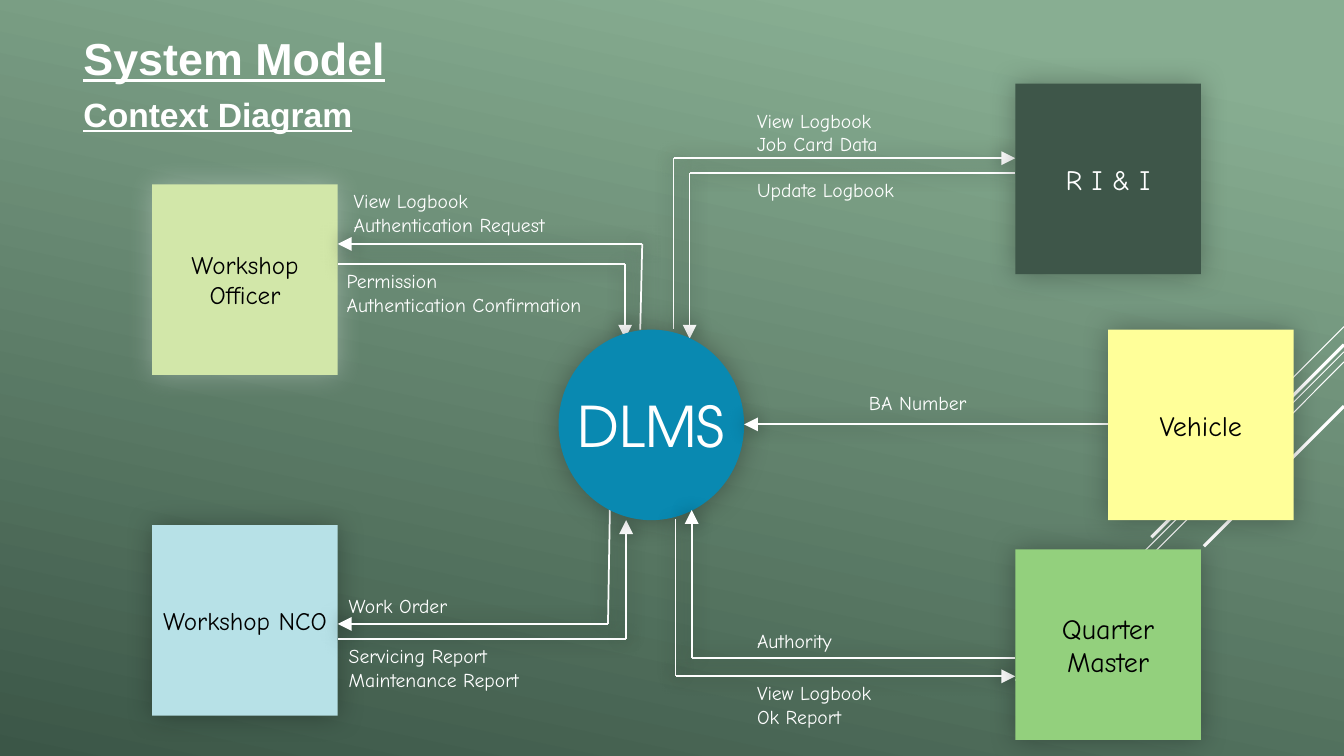
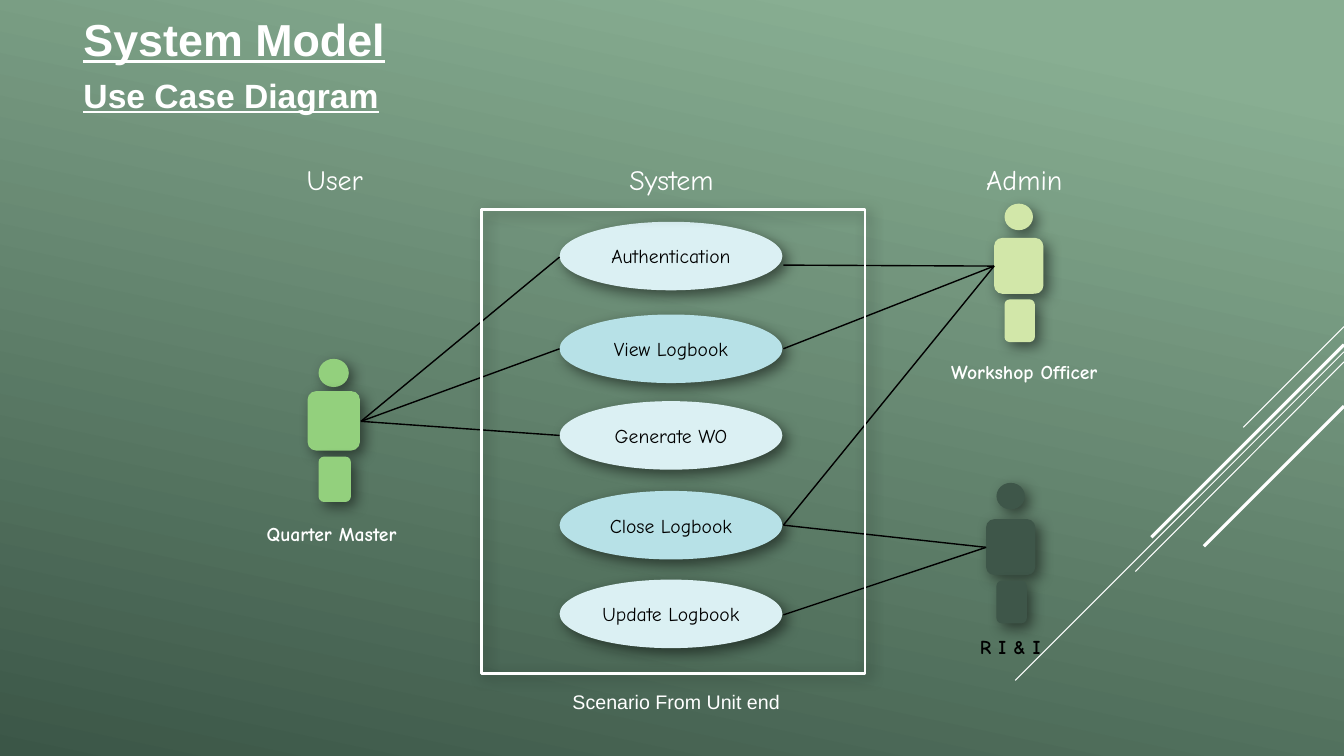
from itertools import pairwise

from lxml.etree import SubElement
from pptx import Presentation
from pptx.dml.color import RGBColor
from pptx.enum.shapes import MSO_CONNECTOR, MSO_SHAPE
from pptx.enum.text import MSO_ANCHOR, PP_ALIGN
from pptx.oxml.ns import qn
from pptx.util import Inches, Pt

WHITE, BLACK = "FFFFFF", "000000"
LIME, DARK, GREEN = "D2E7A9", "3E5649", "93D07D"
AQUA, PALE, BLUE, YELLOW = "B7E1E7", "DBF0F3", "0989B1", "FFFF99"
RECT, OVAL, ROUNDED = MSO_SHAPE.RECTANGLE, MSO_SHAPE.OVAL, MSO_SHAPE.ROUNDED_RECTANGLE
LINK_SHADOW = (BLACK, 50, 13, 0, 0)
SOFT_SHADOW = (BLACK, 50, 10, 5, 45)
STRIPES = [
    ((13.33, 3.24), (12.33, 4.24), 0.75),
    ((13.33, 3.49), (10.07, 6.75), 0.75),
    ((13.33, 3.59), (11.26, 5.67), 0.75),
    ((13.33, 3.42), (11.42, 5.33), 2.25),
    ((13.33, 4.03), (11.94, 5.42), 2.25),
]


def color(value):
    """Turn a hex string into a colour."""
    return RGBColor.from_string(value)


def write(frame, text, size=14, font="Comic Neue", ink=WHITE, bold=False,
          underline=False, align=PP_ALIGN.LEFT, anchor=MSO_ANCHOR.TOP, wrap=True):
    """Fill a text frame, one paragraph for each line of text."""
    frame.word_wrap = wrap
    frame.vertical_anchor = anchor
    for index, line in enumerate(text.split("\n")):
        para = frame.add_paragraph() if index else frame.paragraphs[0]
        para.alignment = align
        span = para.add_run()
        span.text = line
        span.font.size = Pt(size)
        span.font.name = font
        span.font.bold = bold
        span.font.underline = underline
        span.font.color.rgb = color(ink)


def set_shadow(item, shadow=None):
    """Replace the theme shadow by none or by (colour, opacity, blur, distance, angle)."""
    effects = SubElement(item._element.spPr, qn("a:effectLst"))
    if shadow:
        tint, opacity, blur, distance, angle = shadow
        outer = SubElement(effects, qn("a:outerShdw"), blurRad=str(Pt(blur)),
                           dist=str(Pt(distance)), dir=str(angle * 60000),
                           algn="ctr", rotWithShape="0")
        shade = SubElement(outer, qn("a:srgbClr"), val=tint)
        SubElement(shade, qn("a:alpha"), val=str(opacity * 1000))


class Diagrams:
    """Holds the deck, its style and the current page."""

    def __init__(self):
        """Open an empty widescreen deck."""
        self.deck = Presentation()
        self.deck.slide_width = Inches(13.33)
        self.deck.slide_height = Inches(7.5)

    def start(self, subtitle, title_bottom):
        """Add a page with its background, stripes and headings."""
        self.page = self.deck.slides.add_slide(self.deck.slide_layouts[6])
        fill = self.page.background.fill
        fill.gradient()
        fill.gradient_angle = 258
        for stop, position, tint in zip(fill.gradient_stops, (0.1, 1), ("88AE92", "3B5647")):
            stop.position = position
            stop.color.rgb = color(tint)
        for begin, end, width in STRIPES:
            self.line(begin, end, width=width)
        heading = dict(font="Arial", bold=True, underline=True)
        self.text("System Model", 0.73, title_bottom - 0.7, 3.24, 0.7, size=32,
                  anchor=MSO_ANCHOR.BOTTOM, **heading)
        self.text(subtitle, 0.73, title_bottom - 0.01, 3.24, 0.5, size=24, **heading)

    def text(self, text, left, top, width, height=0.34, **style):
        """Add a text box."""
        box = self.page.shapes.add_textbox(Inches(left), Inches(top), Inches(width), Inches(height))
        write(box.text_frame, text, **style)

    def shape(self, kind, left, top, width, height, fill=None, outline=None,
              shadow=None, text="", **style):
        """Add a preset shape with optional centred text."""
        shape = self.page.shapes.add_shape(
            kind, Inches(left), Inches(top), Inches(width), Inches(height))
        if fill:
            shape.fill.solid()
            shape.fill.fore_color.rgb = color(fill)
        else:
            shape.fill.background()
        if outline:
            shape.line.color.rgb = color(outline)
            shape.line.width = Pt(2)
        else:
            shape.line.fill.background()
        set_shadow(shape, shadow)
        if text:
            write(shape.text_frame, text, align=PP_ALIGN.CENTER,
                  anchor=MSO_ANCHOR.MIDDLE, **style)

    def line(self, begin, end, ink=WHITE, width=1.25, arrow=False, shadow=None):
        """Add a straight line, with an arrowhead at its end if asked."""
        line = self.page.shapes.add_connector(
            MSO_CONNECTOR.STRAIGHT, *(Inches(value) for value in (*begin, *end)))
        line.line.color.rgb = color(ink)
        line.line.width = Pt(width)
        if arrow:
            SubElement(line.line._get_or_add_ln(), qn("a:tailEnd"),
                       type="triangle", w="lg", len="lg")
        set_shadow(line, shadow)

    def route(self, *points):
        """Join points by lines that end in an arrowhead."""
        for begin, end in pairwise(points):
            self.line(begin, end, arrow=end == points[-1], shadow=LINK_SHADOW)

    def entity(self, text, left, top, fill, angle, size=20, ink=BLACK, glow=BLACK):
        """Add a square that stands for a party outside the system."""
        self.shape(RECT, left, top, 1.84, 1.89, fill, shadow=(glow, 30, 20, 0, angle),
                   text=text, size=size, ink=ink)

    def person(self, left, top, scale, neck, fill):
        """Add a figure whose body has its corner at left and top."""
        parts = [
            (OVAL, 0.11, -neck, 0.3, 0.28),
            (ROUNDED, 0, 0, 0.52, 0.59),
            (ROUNDED, 0.11, 0.65 * scale, 0.32, 0.45),
        ]
        for kind, across, down, width, height in parts:
            self.shape(kind, left + across * scale, top + down, width * scale,
                       height * scale, fill, shadow=SOFT_SHADOW)


def context_diagram(show):
    """Draw the system with the parties around it."""
    show.start("Context Diagram", 0.89)
    show.entity("Workshop Officer", 1.51, 1.83, LIME, 225, size=18, glow=WHITE)
    show.entity("Workshop NCO", 1.51, 5.21, AQUA, 135, size=18)
    show.route((6.35, 3.27), (6.37, 2.42), (3.35, 2.42))
    show.route((3.35, 2.62), (6.2, 2.62), (6.2, 3.36))
    show.route((3.35, 6.34), (6.21, 6.34), (6.21, 5.16))
    show.route((6.05, 4.98), (6.03, 6.19), (3.35, 6.19))
    show.route((6.68, 3.26), (6.68, 1.57), (10.07, 1.57))
    show.route((10.07, 1.72), (6.84, 1.72), (6.84, 3.36))
    show.shape(OVAL, 5.54, 3.27, 1.84, 1.89, BLUE, shadow=(BLACK, 30, 20, 0, 0),
               text="DLMS", size=40, font="TeX Gyre Adventor", wrap=False)
    show.route((6.7, 5.15), (6.7, 6.71), (10.07, 6.71))
    show.route((10.07, 6.53), (6.86, 6.53), (6.86, 5.06))
    show.route((10.99, 4.21), (7.38, 4.21))
    show.entity("R I & I", 10.07, 0.83, DARK, 315, ink=WHITE)
    show.entity("Vehicle", 10.99, 3.27, YELLOW, 0)
    show.entity("Quarter Master", 10.07, 5.45, GREEN, 45)
    flows = [
        ("View Logbook\nAuthentication Request", 3.41, 1.83),
        ("Permission\nAuthentication Confirmation", 3.34, 2.62),
        ("Work Order", 3.36, 5.84),
        ("Servicing Report\nMaintenance Report", 3.36, 6.34),
        ("View Logbook\nJob Card Data", 7.41, 1.03),
        ("Update Logbook", 7.41, 1.72),
        ("BA Number", 8.52, 3.83),
        ("Authority", 7.41, 6.19),
        ("View Logbook\nOk Report", 7.41, 6.71),
    ]
    for text, left, top in flows:
        show.text(text, left, top, 2.81, 0.57 if "\n" in text else 0.34)


def use_case_diagram(show):
    """Draw the use cases with the people who take part."""
    show.start("Use Case Diagram", 0.7)
    cases = [("Authentication", 2.2), ("View Logbook", 3.12), ("Generate WO", 3.98),
             ("Close Logbook", 4.87), ("Update Logbook", 5.75)]
    for index, (text, top) in enumerate(cases):
        show.shape(OVAL, 5.55, top, 2.21, 0.68, AQUA if index % 2 else PALE,
                   shadow=SOFT_SHADOW, text=text, ink=BLACK)

    show.person(3.05, 3.88, 1, 0.32, GREEN)
    show.person(9.86, 2.36, 0.94, 0.34, LIME)
    show.person(9.78, 5.15, 0.94, 0.36, DARK)
    links = [
        ((3.58, 4.18), 5.55, (2.55, 3.46, 4.32)),
        ((9.86, 2.64), 7.77, (2.63, 3.46, 5.21)),
        ((9.78, 5.43), 7.77, (5.21, 6.1)),
    ]
    for hand, edge, heights in links:
        for height in heights:
            show.line(hand, (edge, height), ink=BLACK, width=1)

    names = [("Quarter Master", 2.32, 5.13, WHITE), ("Workshop Officer", 9.19, 3.52, WHITE),
             ("R I & I", 9.05, 6.25, BLACK)]
    for text, left, top, ink in names:
        show.text(text, left, top, 1.94, ink=ink, bold=True, align=PP_ALIGN.CENTER)
    for text, left in [("User", 2.62), ("System", 5.96), ("Admin", 9.46)]:
        show.text(text, left, 1.56, 1.4, 0.44, size=20, align=PP_ALIGN.CENTER)
    show.shape(RECT, 4.78, 2.08, 3.8, 4.6, outline=WHITE, shadow=(BLACK, 40, 10, 3, 45))
    show.text("Scenario From Unit end", 5.58, 6.8, 2.4, font="Arial")


def main():
    """Build and save the deck."""
    show = Diagrams()
    context_diagram(show)
    use_case_diagram(show)
    show.deck.save("out.pptx")


if __name__ == "__main__":
    main()
